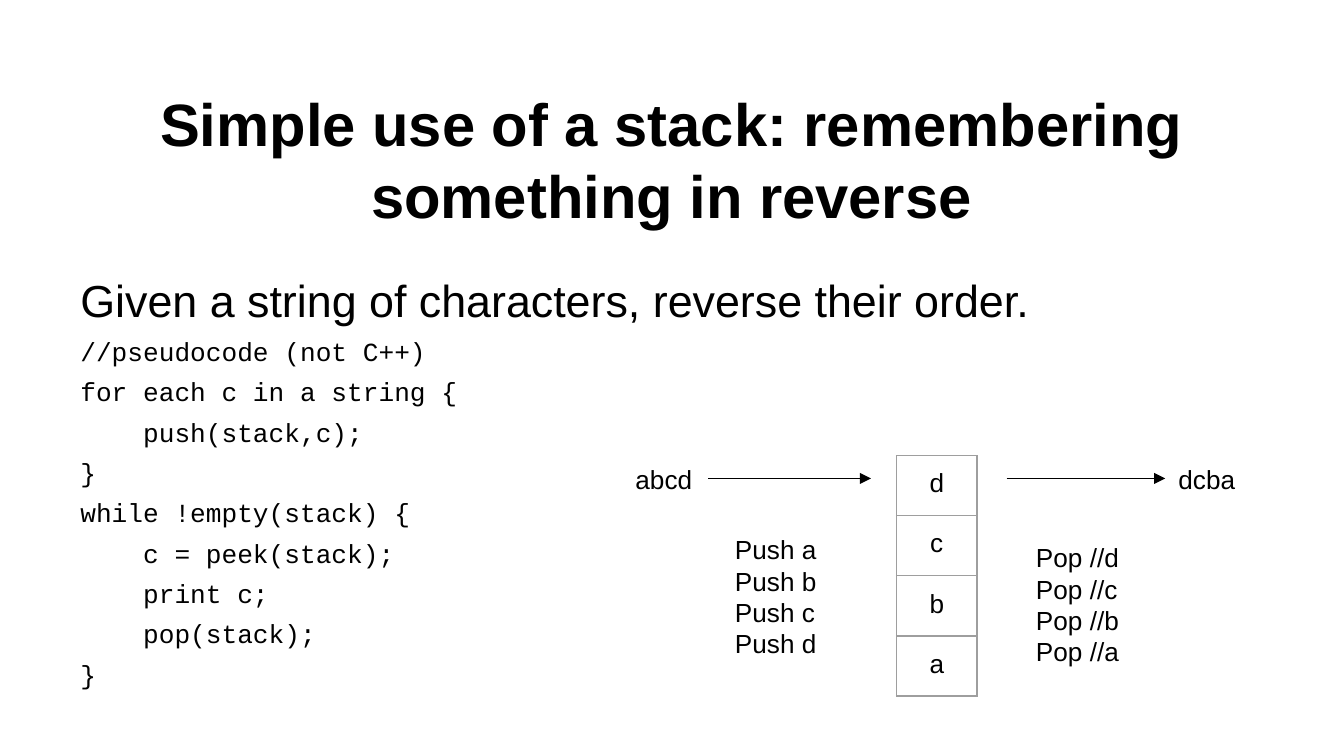
from lxml import etree
from pptx import Presentation
from pptx import util as u
from pptx.dml.color import RGBColor
from pptx.enum import shapes, text
from pptx.oxml.ns import qn

COLORS = {"ink": "000000", "border": "9E9E9E"}
TITLE = "Simple use of a stack: remembering something in reverse"
INTRO = "Given a string of characters, reverse their order."
CODE = [
    "//pseudocode (not C++)",
    "for each c in a string {",
    "    push(stack,c);",
    "}",
    "while !empty(stack) {",
    "    c = peek(stack);",
    "    print c;",
    "    pop(stack);",
    "}",
]
STACK = ["d", "c", "b", "a"]
LABELS = [
    (["abcd"], 4.63, 3.35, 0.64),
    (["dcba"], 8.67, 3.35, 0.64),
    (["Push a", "Push b", "Push c", "Push d"], 5.37, 3.87, 0.95),
    (["Pop //d", "Pop //c", "Pop //b", "Pop //a"], 7.61, 3.93, 0.95),
]
ARROWS = [(5.27, 6.48), (7.49, 8.67)]
ARROW_Y = 3.56
STACK_LEFT, STACK_TOP, STACK_WIDTH, STACK_HEIGHT = 6.67, 3.39, 0.6, 1.79
INSET = u.Inches(0.1)


def style(para, size, font="Arial", bold=False):
    for span in para.runs:
        span.font.size = u.Pt(size)
        span.font.name = font
        span.font.bold = bold
        span.font.color.rgb = RGBColor.from_string(COLORS["ink"])


def set_insets(target):
    target.margin_left = target.margin_right = INSET
    target.margin_top = target.margin_bottom = INSET


def add_text(page, lines, left, top, width, height, size=14, bold=False):
    box = page.shapes.add_textbox(*map(u.Inches, (left, top, width, height)))
    frame = box.text_frame
    frame.word_wrap = True
    set_insets(frame)
    frame.text = "\n".join(lines)
    for para in frame.paragraphs:
        style(para, size, bold=bold)
    return frame


def add_arrow(page, start, end):
    arrow = page.shapes.add_connector(
        shapes.MSO_CONNECTOR.STRAIGHT,
        *map(u.Inches, (start, ARROW_Y, end, ARROW_Y)))
    arrow.line.color.rgb = RGBColor.from_string(COLORS["ink"])
    arrow.line.width = u.Pt(0.75)
    line = arrow.line._get_or_add_ln()
    etree.SubElement(line, qn("a:tailEnd"), type="triangle")
    etree.SubElement(arrow._element.spPr, qn("a:effectLst"))


def add_borders(cell):
    properties = cell._tc.get_or_add_tcPr()
    for index, side in enumerate(("lnL", "lnR", "lnT", "lnB")):
        line = etree.Element(qn(f"a:{side}"), w=str(u.Pt(0.75)))
        fill = etree.SubElement(line, qn("a:solidFill"))
        etree.SubElement(fill, qn("a:srgbClr"), val=COLORS["border"])
        properties.insert(index, line)


def add_stack(page):
    table = page.shapes.add_table(
        len(STACK), 1,
        *map(u.Inches, (STACK_LEFT, STACK_TOP, STACK_WIDTH, STACK_HEIGHT))).table
    table.first_row = table.horz_banding = False
    for row, item in enumerate(STACK):
        cell = table.cell(row, 0)
        cell.text = item
        set_insets(cell)
        cell.fill.background()
        add_borders(cell)
        para = cell.text_frame.paragraphs[0]
        para.alignment = text.PP_ALIGN.CENTER
        style(para, 14)


def main():
    deck = Presentation()
    deck.slide_width = u.Inches(10)
    deck.slide_height = deck.slide_width * 9 // 16
    page = deck.slides.add_slide(deck.slide_layouts[6])

    title = add_text(page, [TITLE], 0.5, 0.74, 9, 0.88, size=32, bold=True)
    title.vertical_anchor = text.MSO_ANCHOR.MIDDLE
    title.paragraphs[0].alignment = text.PP_ALIGN.CENTER

    body = add_text(page, [INTRO] + CODE, 0.5, 1.93, 9, 2.55, size=24)
    for para in body.paragraphs[1:]:
        para.space_before = u.Pt(4.8)
        style(para, 14, "Courier New")

    add_stack(page)
    for lines, left, top, width in LABELS:
        add_text(page, lines, left, top, width, 0.42)
    for start, end in ARROWS:
        add_arrow(page, start, end)
    deck.save("out.pptx")


if __name__ == "__main__":
    main()
